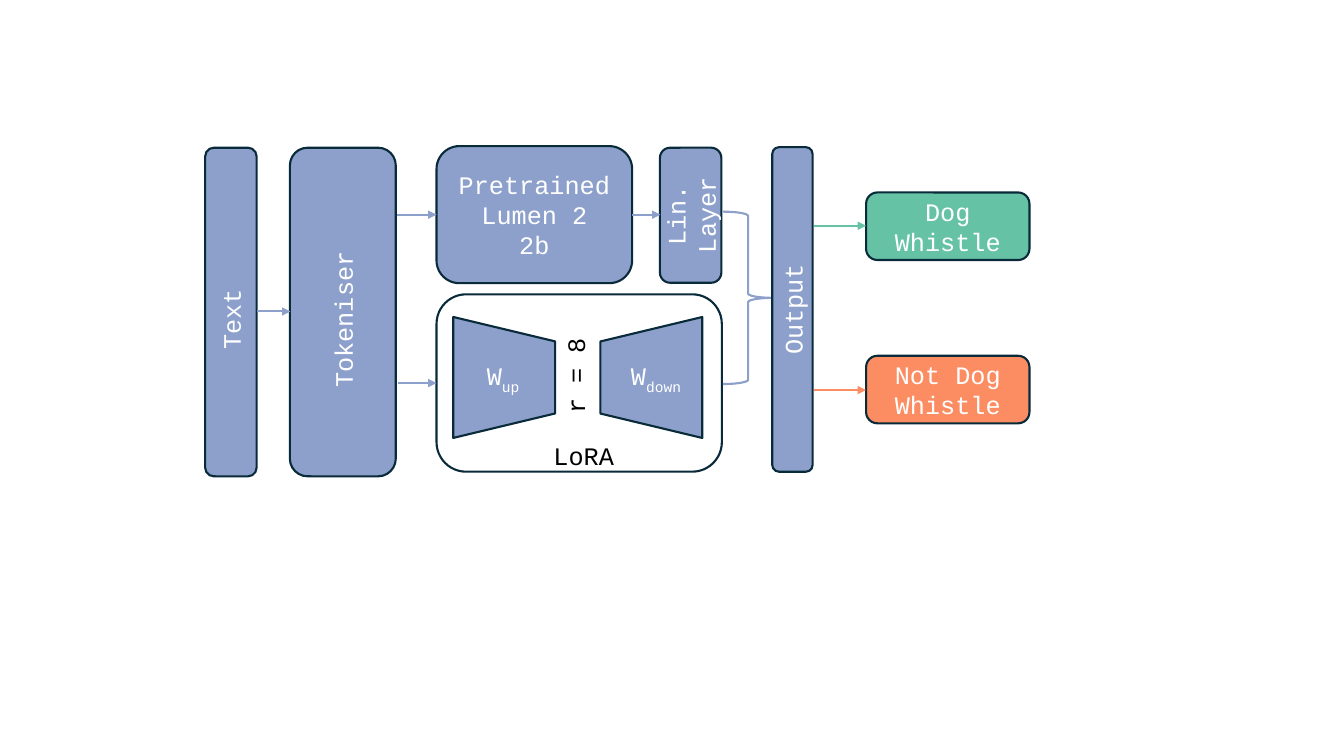
import pptx
import pptx.dml.color
import pptx.enum.shapes
import pptx.enum.text
import pptx.oxml.ns
import pptx.util
from lxml import etree
from pptx.util import Inches

SHAPES = pptx.enum.shapes.MSO_SHAPE
BLUE, GREEN, ORANGE = "8DA0CB", "66C2A5", "FC8D62"
OUTLINE, WHITE, BLACK = "092A39", "FFFFFF", "000000"
FONT, TEXT_SIZE, LINE_WIDTH = "Courier New", 18, 1.5


def color(hex_value):
    return pptx.dml.color.RGBColor.from_string(hex_value)


def style_paragraph(paragraph, text_color):
    paragraph.font.name = FONT
    paragraph.font.size = pptx.util.Pt(TEXT_SIZE)
    paragraph.font.color.rgb = color(text_color)


def add_block(slide, kind, box, fill=None, line=OUTLINE, rotation=0):
    shape = slide.shapes.add_shape(kind, *map(Inches, box))
    shape.rotation = rotation
    shape.shadow.inherit = False
    if fill:
        shape.fill.solid()
        shape.fill.fore_color.rgb = color(fill)
    else:
        shape.fill.background()
    shape.line.color.rgb = color(line)
    shape.line.width = pptx.util.Pt(LINE_WIDTH)
    return shape


def add_stage(slide, lines, box, fill=BLUE, rotation=0):
    """Rounded box with a centred caption; lines are separated by breaks."""
    shape = add_block(slide, SHAPES.ROUNDED_RECTANGLE, box, fill, rotation=rotation)
    frame = shape.text_frame
    frame.word_wrap = True
    frame.vertical_anchor = pptx.enum.text.MSO_ANCHOR.MIDDLE
    paragraph = frame.paragraphs[0]
    paragraph.alignment = pptx.enum.text.PP_ALIGN.CENTER
    for index, line in enumerate(lines):
        if index:
            paragraph.add_line_break()
        paragraph.add_run().text = line
    style_paragraph(paragraph, WHITE)


def add_label(slide, text, box, text_color, subscript="", rotation=0, wrap=True):
    label = slide.shapes.add_textbox(*map(Inches, box))
    label.rotation = rotation
    label.text_frame.word_wrap = wrap
    paragraph = label.text_frame.paragraphs[0]
    paragraph.add_run().text = text
    if subscript:
        run = paragraph.add_run()
        run.text = subscript
        run._r.get_or_add_rPr().set("baseline", "-25000")
    style_paragraph(paragraph, text_color)


def add_arrow(slide, left, right, y, line=BLUE):
    arrow = slide.shapes.add_connector(
        pptx.enum.shapes.MSO_CONNECTOR.STRAIGHT,
        Inches(left), Inches(y), Inches(right), Inches(y))
    arrow.line.color.rgb = color(line)
    arrow.line.width = pptx.util.Pt(LINE_WIDTH)
    qn = pptx.oxml.ns.qn
    etree.SubElement(arrow.line._get_or_add_ln(), qn("a:tailEnd"), type="triangle")
    etree.SubElement(arrow._element.spPr, qn("a:effectLst"))


def main():
    presentation = pptx.Presentation()
    presentation.slide_width = Inches(13.33)
    presentation.slide_height = Inches(7.5)
    slide = presentation.slides.add_slide(presentation.slide_layouts[6])

    # Input and pretrained model
    add_stage(slide, ["Text "], (0.66, 2.84, 3.26, 0.51), rotation=270)
    add_stage(slide, ["Tokeniser "], (1.77, 2.57, 3.26, 1.05), rotation=270)
    add_stage(slide, ["Pretrained", "Lumen 2", "2b"], (4.33, 1.45, 1.94, 1.36))
    add_stage(slide, ["Lin. Layer"], (6.18, 1.83, 1.34, 0.61), rotation=270)

    # LoRA adapter
    add_block(slide, SHAPES.ROUNDED_RECTANGLE, (4.33, 2.92, 2.83, 1.76))
    for left, rotation, label_left, label_width, name in (
            (4.4, 90, 4.73, 0.77, "up"), (5.86, 270, 6.16, 0.84, "down")):
        trapezoid = add_block(slide, SHAPES.TRAPEZOID, (left, 3.24, 1.2, 1.01),
                              BLUE, rotation=rotation)
        trapezoid.adjustments[0] = 0.24
        add_label(slide, "W", (label_left, 3.53, label_width, 0.4), WHITE, name)
    add_label(slide, "r = 8", (5.2, 3.5, 1.01, 0.4), BLACK, rotation=270)
    add_label(slide, "LoRA", (5.39, 4.32, 0.81, 0.4), BLACK, wrap=False)

    # Output and classes
    add_block(slide, SHAPES.RIGHT_BRACE, (7.17, 2.1, 0.5, 1.71), line=BLUE)
    add_stage(slide, ["Output"], (6.25, 2.87, 3.22, 0.4), rotation=270)
    for text, top, arrow_y, fill in (("Dog Whistle", 1.91, 2.24, GREEN),
                                     ("Not Dog Whistle", 3.53, 3.87, ORANGE)):
        add_stage(slide, [text], (8.59, top, 1.62, 0.67), fill)
        add_arrow(slide, 8.07, 8.59, arrow_y, fill)

    # Flow between the stages
    for left, right, y in ((2.55, 2.88, 3.09), (3.94, 4.33, 2.13),
                           (3.95, 4.33, 3.8), (6.27, 6.55, 2.13)):
        add_arrow(slide, left, right, y)

    presentation.save("out.pptx")


if __name__ == "__main__":
    main()
